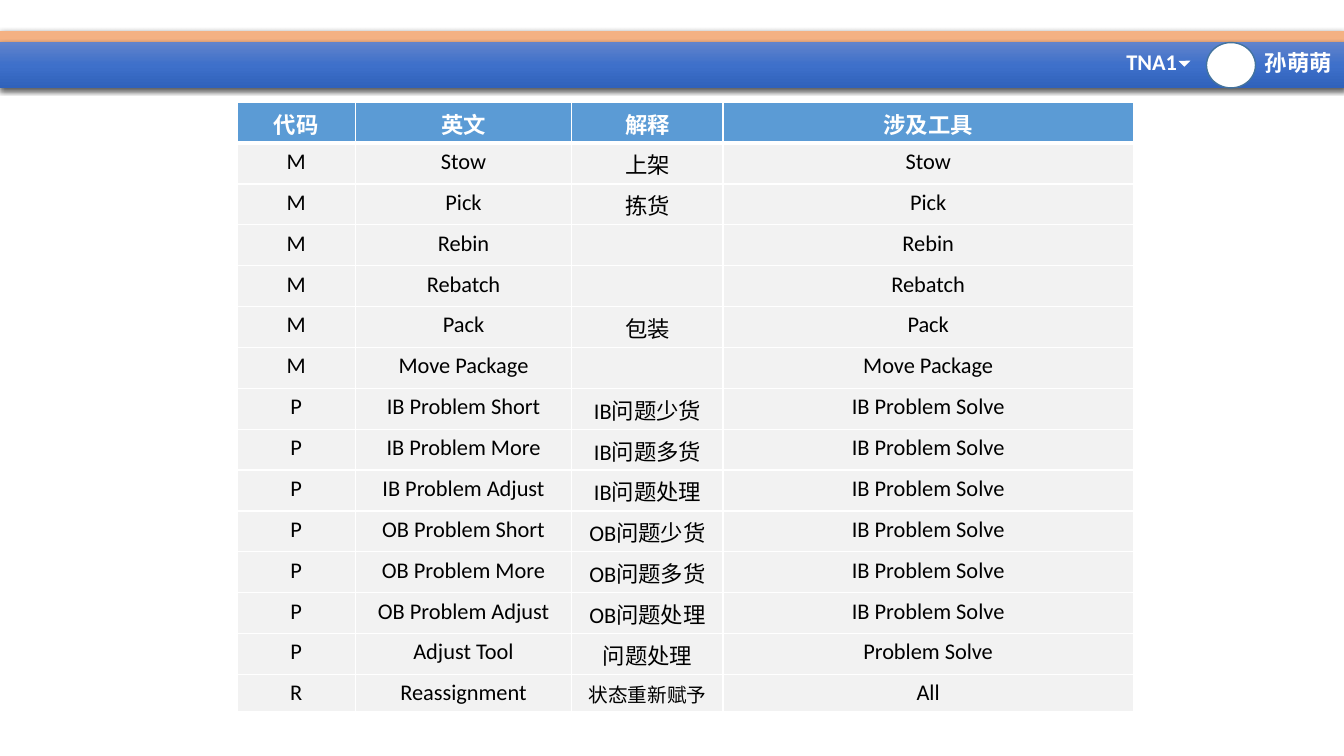
from lxml.etree import SubElement
from pptx import Presentation
from pptx.dml.color import RGBColor
from pptx.enum.shapes import MSO_SHAPE
from pptx.enum.text import MSO_AUTO_SIZE, PP_ALIGN
from pptx.oxml.ns import qn
from pptx.util import Pt

COLORS = {
    "white": "FFFFFF", "black": "000000", "orange": "F4B183",
    "ring": "43739E", "head": "5B9BD5", "body": "F2F2F2",
    "top": "6183CB", "mid": "3E70CA", "low": "3062BB",
}
WIDTHS = [84.2, 154.8, 108, 293]
HEADS = ["代码", "英文", "解释", "涉及工具"]
MOVES = [("Stow", "上架"), ("Pick", "拣货"), ("Rebin", ""),
         ("Rebatch", ""), ("Pack", "包装"), ("Move Package", "")]
FAULTS = [("Short", "少货"), ("More", "多货"), ("Adjust", "处理")]
ROWS = [
    HEADS,
    *[["M", name, note, name] for name, note in MOVES],
    *[["P", f"{side} Problem {name}", f"{side}问题{note}", "IB Problem Solve"]
      for side in ("IB", "OB") for name, note in FAULTS],
    ["P", "Adjust Tool", "问题处理", "Problem Solve"],
    ["R", "Reassignment", "状态重新赋予", "All"],
]


def rgb(name):
    return RGBColor.from_string(COLORS[name])


def tint(parent, name, alpha=None):
    """Add an XML colour, with alpha in percent."""
    node = SubElement(parent, qn("a:srgbClr"), val=COLORS[name])
    if alpha:
        SubElement(node, qn("a:alpha"), val=str(alpha * 1000))


def write(frame, text, size=16, color="white", bold=True, align=None):
    para = frame.paragraphs[0]
    para.alignment = align
    # An empty cell still needs its size, or its row may grow.
    font = para.add_run().font if text else para.font
    if text:
        para.runs[0].text = text
    font.name, font.size, font.bold = "Calibri", Pt(size), bold
    font.color.rgb = rgb(color)


class Board:
    def __init__(self, slide):
        self.slide = slide

    def shape(self, kind, x, y, w, h, fill="white", line=None, turn=0):
        item = self.slide.shapes.add_shape(kind, Pt(x), Pt(y), Pt(w), Pt(h))
        item.shadow.inherit = False
        item.rotation = turn
        item.fill.solid()
        item.fill.fore_color.rgb = rgb(fill)
        if line:
            item.line.color.rgb = rgb(line)
            item.line.width = Pt(1)
        else:
            item.line.fill.background()
        return item

    def bar(self, y, h, fill="white", stops=()):
        """Draw a full-width shadowed band, graded downwards if stops are given."""
        item = self.shape(MSO_SHAPE.RECTANGLE, 0, y, 960, h, fill)
        props = item.element.spPr
        if stops:
            item.fill.gradient()
            item.fill.gradient_angle = 270
            grades = props.find(".//" + qn("a:gsLst"))
            grades.clear()
            for i, name in enumerate(stops):
                pos = str(100000 * i // (len(stops) - 1))
                tint(SubElement(grades, qn("a:gs"), pos=pos), name)
        shade = SubElement(props.find(qn("a:effectLst")), qn("a:outerShdw"),
                           blurRad=str(Pt(4.5)), dist=str(Pt(1.5)),
                           dir="5400000", algn="ctr", rotWithShape="0")
        tint(shade, "black", 63)

    def label(self, text, x, y, w, h):
        frame = self.slide.shapes.add_textbox(Pt(x), Pt(y), Pt(w), Pt(h)).text_frame
        frame.word_wrap = False
        frame.auto_size = MSO_AUTO_SIZE.SHAPE_TO_FIT_TEXT
        write(frame, text)

    def edges(self, cell, top, low):
        """Give a cell white borders, one point wide at the sides."""
        props = cell._tc.get_or_add_tcPr()
        sides = zip(("a:lnL", "a:lnR", "a:lnT", "a:lnB"), (1, 1, top, low))
        for tag, width in sides:
            line = SubElement(props, qn(tag), w=str(Pt(width)))
            tint(SubElement(line, qn("a:solidFill")), "white")

    def table(self, rows, x, y):
        grid = self.slide.shapes.add_table(
            len(rows), len(WIDTHS), Pt(x), Pt(y), Pt(sum(WIDTHS)), Pt(435.6)).table
        grid.horz_banding = False
        for col, width in zip(grid.columns, WIDTHS):
            col.width = Pt(width)
        for r, row in enumerate(rows):
            head = r == 0
            grid.rows[r].height = Pt(26.6 if r == len(rows) - 1 else 29.2)
            for c, text in enumerate(row):
                cell = grid.cell(r, c)
                self.edges(cell, 3 if r == 1 else 1, 3 if head else 1)
                cell.fill.solid()
                cell.fill.fore_color.rgb = rgb("head" if head else "body")
                write(cell.text_frame, text,
                      size=14 if text == "状态重新赋予" else 16,
                      color="white" if head else "black",
                      bold=head, align=PP_ALIGN.CENTER)


def main():
    deck = Presentation()
    deck.slide_width, deck.slide_height = Pt(960), Pt(540)
    board = Board(deck.slides.add_slide(deck.slide_layouts[6]))
    board.bar(22.3, 7.9, "orange")
    board.bar(30.2, 32.4, stops=("top", "mid", "low"))
    board.label("孙萌萌", 896.4, 31.7, 63.4, 26.6)
    board.shape(MSO_SHAPE.OVAL, 861.8, 30.4, 35, 32.4, line="ring")
    board.label("TNA1", 797.4, 31.2, 51.1, 26.6)
    board.shape(MSO_SHAPE.RIGHT_TRIANGLE, 843, 40.4, 6, 6, turn=314.5)
    board.table(ROWS, 169.5, 73)
    deck.save("out.pptx")


if __name__ == "__main__":
    main()
